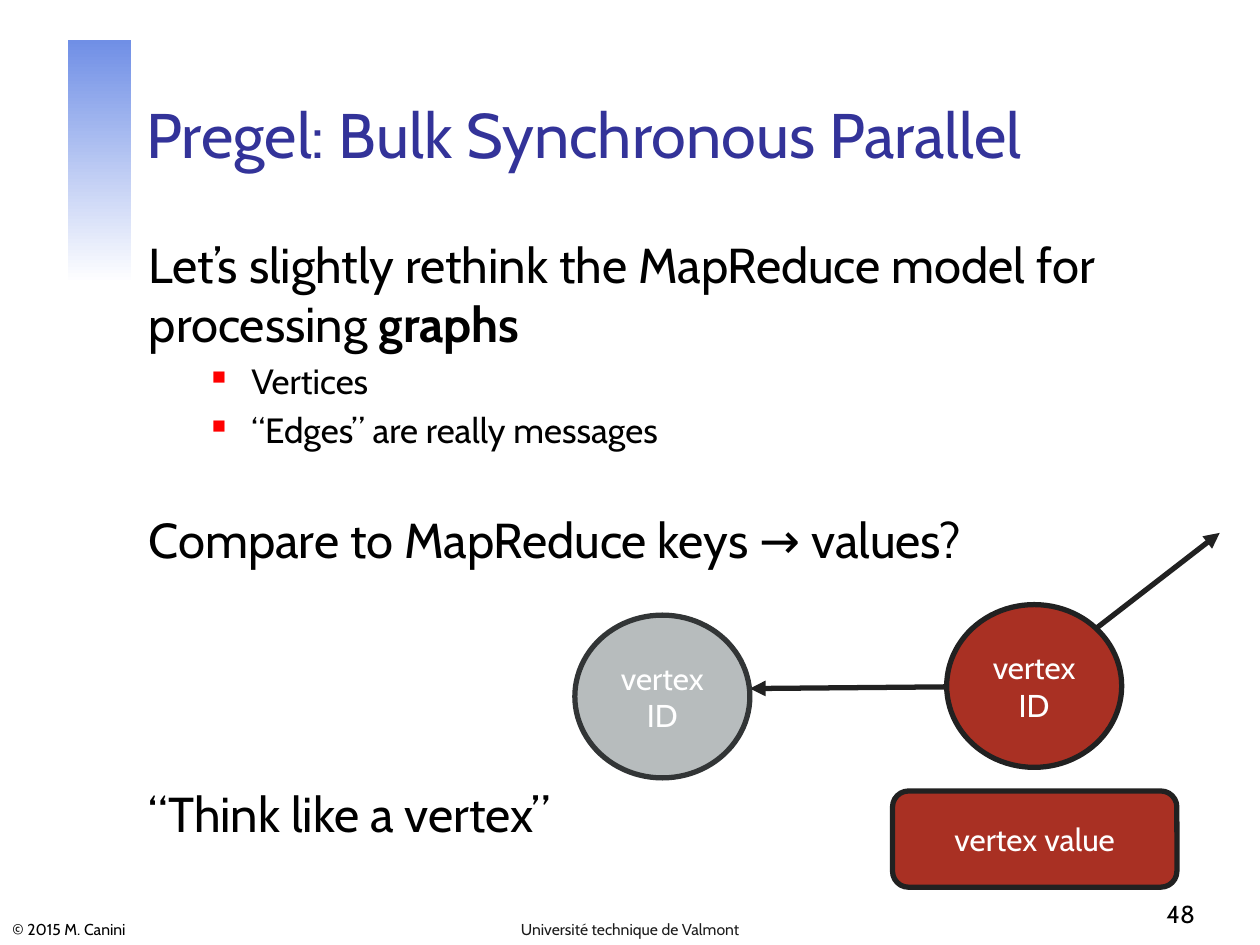
from pptx import Presentation, util as u
from pptx.dml.color import RGBColor
from pptx.enum import shapes, text
from pptx.oxml import parse_xml
from pptx.oxml.ns import nsdecls, qn

Pt = u.Pt
FONT = "Cabin"
BLACK = RGBColor(0x00, 0x00, 0x00)
WHITE = RGBColor(0xFF, 0xFF, 0xFF)
NAVY = RGBColor(0x33, 0x33, 0x99)
BLUE = RGBColor(0x70, 0x8F, 0xE6)
RED = RGBColor(0xA9, 0x30, 0x23)
GRAY = RGBColor(0xB7, 0xBC, 0xBD)
INK = RGBColor(0x21, 0x21, 0x21)
SLATE = RGBColor(0x32, 0x35, 0x36)
SOFT_BLACK = RGBColor(0x1C, 0x1C, 0x1C)
LEFT, CENTER, RIGHT = (text.PP_ALIGN.LEFT, text.PP_ALIGN.CENTER,
                       text.PP_ALIGN.RIGHT)
TOP, MIDDLE, BOTTOM = (text.MSO_ANCHOR.TOP, text.MSO_ANCHOR.MIDDLE,
                       text.MSO_ANCHOR.BOTTOM)


def add_span(para, words, color, **formats):
    span = para.add_run()
    span.text = words
    span.font.color.rgb = color
    for name, value in {"name": FONT, **formats}.items():
        setattr(span.font, name, value)


def add_box(page, box, anchor):
    frame = page.shapes.add_textbox(*map(Pt, box)).text_frame
    frame.word_wrap = True
    frame.vertical_anchor = anchor
    return frame


def add_label(page, box, words, size, color, align=LEFT):
    """One line of text that sits on the bottom of its box."""
    para = add_box(page, box, BOTTOM).paragraphs[0]
    para.alignment = align
    add_span(para, words, color, size=Pt(size))


def add_accent(page, box):
    bar = page.shapes.add_shape(shapes.MSO_SHAPE.RECTANGLE, *map(Pt, box))
    bar.shadow.inherit = False
    bar.line.fill.background()
    bar.fill.gradient()
    bar.fill.gradient_angle = 270
    for stop, color in zip(bar.fill.gradient_stops, (BLUE, WHITE)):
        stop.color.rgb = color


def add_bullet(para):
    props = para._p.get_or_add_pPr()
    props.set("marL", str(Pt(58.5)))
    props.set("indent", str(-Pt(22.5)))
    for tag in ('buClr {}><a:srgbClr val="FF0000"/></a:buClr>',
                'buSzPct {} val="55000"/>', 'buChar {} char="■"/>'):
        props.append(parse_xml("<a:" + tag.format(nsdecls("a"))))


def add_body(page, box):
    frame = add_box(page, box, TOP)
    # Space before, size, bulleted, (words, bold) spans
    lines = [
        (0, 28, False, [("Let’s slightly rethink the MapReduce model for "
                         "processing ", False), ("graphs", True)]),
        (4, 20, True, [("Vertices", False)]),
        (4, 20, True, [("“Edges” are really messages", False)]),
        (34, 28, False, [("Compare to MapReduce keys → values?", False)]),
        (123, 28, False, [("“Think like a vertex”", False)]),
    ]
    for index, (space, size, bulleted, spans) in enumerate(lines):
        para = frame.add_paragraph() if index else frame.paragraphs[0]
        para.space_before = Pt(space)
        if bulleted:
            add_bullet(para)
        for words, bold in spans:
            add_span(para, words, BLACK, size=Pt(size), bold=bold)


def add_node(page, kind, box, lines, fill, outline):
    node = page.shapes.add_shape(kind, *map(Pt, box))
    node.shadow.inherit = False
    node.fill.solid()
    node.fill.fore_color.rgb = fill
    node.line.color.rgb = outline
    node.line.width = Pt(3)
    node.text_frame.vertical_anchor = MIDDLE
    para = node.text_frame.paragraphs[0]
    para.alignment = CENTER
    for index, words in enumerate(lines):
        if index:
            para.add_line_break()
        add_span(para, words, WHITE, size=Pt(18))


def add_arrow(page, *ends):
    arrow = page.shapes.add_connector(shapes.MSO_CONNECTOR.STRAIGHT,
                                      *map(Pt, ends))
    arrow.line.color.rgb = INK
    arrow.line.width = Pt(3)
    arrow.line._get_or_add_ln().append(
        parse_xml(f'<a:tailEnd {nsdecls("a")} type="triangle"/>'))
    arrow._element.spPr.append(arrow._element.makeelement(qn("a:effectLst")))


def add_graph(page, box):
    """Two vertices, the messages between them and a vertex value."""
    left, top, width, height = box
    wide, high = 100, 93
    oval = shapes.MSO_SHAPE.OVAL
    sender = left + 212.5
    add_node(page, oval, (sender, top + 41, wide, high),
             ("vertex", "ID"), RED, INK)
    add_node(page, shapes.MSO_SHAPE.ROUNDED_RECTANGLE,
             (left + width - 162.5, top + height - 55, 162.5, 55),
             ("vertex value",), RED, INK)
    add_arrow(page, left + 298, top + 54.5, left + 368.5, top)
    add_arrow(page, sender, top + 88, left + wide, top + 89)
    add_node(page, oval, (left, top + 47, wide, high),
             ("vertex", "ID"), GRAY, SLATE)


def add_footer(page, box):
    left, top, width, height = box
    add_label(page, (left, top, 217.5, height), "© 2015 M. Canini", 9, BLACK)
    add_label(page, (left + (width - 227.5) / 2, top, 227.5, height),
              "Université technique de Valmont", 9, SOFT_BLACK, CENTER)
    add_label(page, (left + 540, top - 22, 150, 36), "48", 14, BLACK, RIGHT)


def main():
    deck = Presentation()
    deck.slide_width, deck.slide_height = Pt(720), Pt(540)
    page = deck.slides.add_slide(deck.slide_layouts[6])
    add_accent(page, (39, 23, 36, 139))
    add_label(page, (76.5, 24, 613.5, 77.5),
              "Pregel: Bulk Synchronous Parallel", 36, NAVY)
    add_body(page, (78, 130.5, 612, 357))
    add_graph(page, (328.5, 304.5, 344, 202.5))
    add_footer(page, (0, 520, 720, 20))
    deck.save("out.pptx")


if __name__ == "__main__":
    main()
